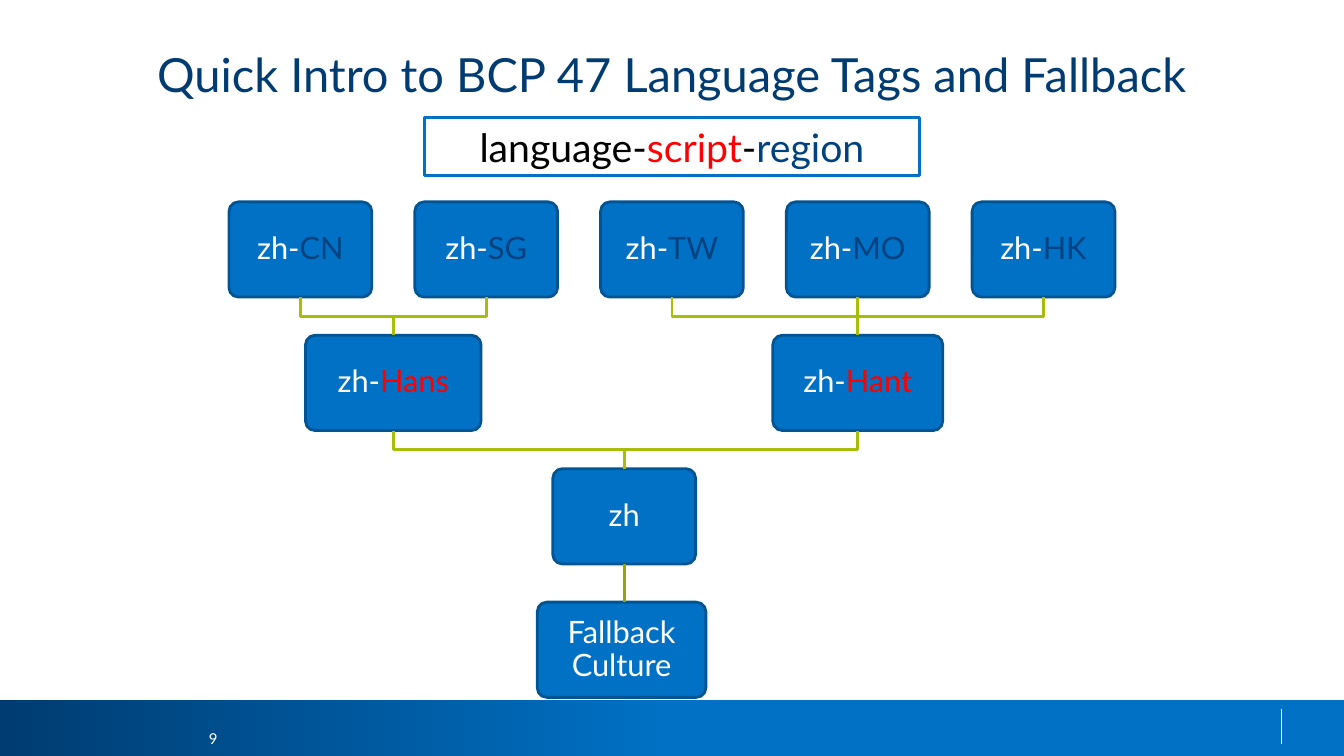
from dataclasses import dataclass

from lxml import etree
from pptx import Presentation
from pptx import util as u
from pptx.dml.color import RGBColor
from pptx.enum import shapes, text
from pptx.oxml import ns


@dataclass(frozen=True)
class Theme:
    font: str = "Lato"
    title_size: float = 33.6
    tag_size: float = 28
    node_size: float = 22
    number_size: float = 10.7
    white: str = "FFFFFF"
    black: str = "000000"
    navy: str = "003C71"
    blue: str = "0071C5"
    edge: str = "005492"
    script: str = "FF0000"
    region: str = "004280"
    branch: str = "A6BE07"
    stem: str = "93A706"


class Slide:
    def __init__(self, page, theme):
        self.page = page
        self.theme = theme

    def label(self, shape, spans, size, align=text.PP_ALIGN.CENTER,
              anchor=text.MSO_ANCHOR.MIDDLE, inset=0, spacing=None):
        frame = shape.text_frame
        frame.word_wrap = True
        frame.auto_size = text.MSO_AUTO_SIZE.NONE
        frame.vertical_anchor = anchor
        frame.margin_left = frame.margin_right = u.Pt(inset)
        frame.margin_top = frame.margin_bottom = u.Pt(inset)
        para = frame.paragraphs[0]
        para.alignment = align
        if spacing:
            para.line_spacing = spacing
        for words, color in spans:
            span = para.add_run()
            span.text = words
            span.font.name = self.theme.font
            span.font.size = u.Pt(size)
            span.font.color.rgb = RGBColor.from_string(color)

    def stroke(self, line, color, width=2):
        line.color.rgb = RGBColor.from_string(color)
        line.width = u.Pt(width)

    def title(self, words, left, top, width, height):
        box = self.page.shapes.title
        box.left, box.top = u.Pt(left), u.Pt(top)
        box.width, box.height = u.Pt(width), u.Pt(height)
        self.label(box, [(words, self.theme.navy)], self.theme.title_size,
                   anchor=text.MSO_ANCHOR.TOP)

    def box(self, kind, left, top, width, height, fill, line=None):
        box = self.page.shapes.add_shape(
            kind, u.Pt(left), u.Pt(top), u.Pt(width), u.Pt(height))
        box.shadow.inherit = False
        box.fill.solid()
        box.fill.fore_color.rgb = RGBColor.from_string(fill)
        if line:
            self.stroke(box.line, line)
        else:
            box.line.fill.background()
        return box

    def footer(self, top, height, number):
        theme = self.theme
        band = self.box(shapes.MSO_SHAPE.RECTANGLE, 0, top, 960, height, theme.blue)
        band.fill.gradient()
        band.fill.gradient_angle = 0
        stops = zip(band.fill.gradient_stops, (0, 0.5), (theme.navy, theme.blue))
        for stop, position, color in stops:
            stop.position = position
            stop.color.rgb = RGBColor.from_string(color)
        self.line(915.5, 506.2, 915.5, 531.4, theme.white, 0.75)
        box = self.page.shapes.add_textbox(
            u.Pt(119.5), u.Pt(519.1), u.Pt(36), u.Pt(17.3))
        self.label(box, [(number, theme.white)], theme.number_size,
                   align=text.PP_ALIGN.RIGHT)

    def node(self, spans, center, top, width, height):
        box = self.box(shapes.MSO_SHAPE.ROUNDED_RECTANGLE, center - width / 2, top,
                       width, height, self.theme.blue, self.theme.edge)
        box.adjustments[0] = 0.1
        self.label(box, spans, self.theme.node_size, inset=8.8, spacing=0.9)
        return box

    def line(self, x1, y1, x2, y2, color, width=2):
        line = self.page.shapes.add_connector(
            shapes.MSO_CONNECTOR.STRAIGHT, u.Pt(x1), u.Pt(y1), u.Pt(x2), u.Pt(y2))
        self.stroke(line.line, color, width)
        etree.SubElement(line._element.spPr, ns.qn("a:effectLst"))
        return line

    def elbow(self, x1, y1, x2, y2, color):
        middle = (y1 + y2) / 2
        builder = self.page.shapes.build_freeform(u.Pt(x1), u.Pt(y1))
        builder.add_line_segments(
            [(u.Pt(x), u.Pt(y)) for x, y in ((x1, middle), (x2, middle), (x2, y2))],
            close=False)
        bend = builder.convert_to_shape()
        bend.shadow.inherit = False
        bend.fill.background()
        self.stroke(bend.line, color)


def main():
    deck = Presentation()
    deck.slide_width, deck.slide_height = u.Pt(960), u.Pt(540)
    theme = Theme()
    slide = Slide(deck.slides.add_slide(deck.slide_layouts[5]), theme)

    slide.footer(500, 40, "9")
    slide.title("Quick Intro to BCP 47 Language Tags and Fallback", 48, 32.4, 864, 51.8)

    node_width, node_height = 102, 68
    row_top, row_pitch = 144.2, 95.3
    column_center, column_pitch = 214.6, 132.7
    tops = [row_top + row * row_pitch for row in range(4)]
    bottoms = [top + node_height for top in tops]

    regions = ("CN", "SG", "TW", "MO", "HK")
    centers = [column_center + i * column_pitch for i in range(len(regions))]
    region_nodes = [
        slide.node([("zh-", theme.white), (region, theme.region)],
                   center, tops[0], node_width, node_height)
        for region, center in zip(regions, centers)]

    hans_center, hant_center, zh_center = sum(centers[:2]) / 2, centers[3], 445.9
    script_nodes = [
        slide.node([("zh-", theme.white), (script, theme.script)],
                   center, tops[1], width, node_height)
        for script, center, width in (("Hans", hans_center, 125.4),
                                      ("Hant", hant_center, 121.4))]
    zh_node = slide.node([("zh", theme.white)], zh_center, tops[2],
                         node_width, node_height)
    slide.node([("Fallback Culture", theme.white)], 444, tops[3], 120.4, node_height)

    branches = [(0, centers[0], hans_center), (0, centers[1], hans_center),
                (0, centers[2], hant_center), (0, centers[4], hant_center),
                (1, hans_center, zh_center), (1, hant_center, zh_center)]
    for row, child, parent in branches:
        slide.elbow(child, bottoms[row], parent, tops[row + 1], theme.branch)

    hant_stem = slide.line(hant_center, bottoms[0], hant_center, tops[1], theme.branch)
    hant_stem.begin_connect(region_nodes[3], 2)
    hant_stem.end_connect(script_nodes[1], 0)
    zh_stem = slide.line(zh_center, bottoms[2], zh_center, tops[3], theme.stem)
    zh_stem.begin_connect(zh_node, 2)

    tag = slide.box(shapes.MSO_SHAPE.RECTANGLE, 303, 84, 354, 41.2,
                    theme.white, theme.blue)
    slide.label(tag, [("language-", theme.black), ("script", theme.script),
                      ("-", theme.black), ("region", theme.region)],
                theme.tag_size, inset=3.6)

    deck.save("out.pptx")


if __name__ == "__main__":
    main()
